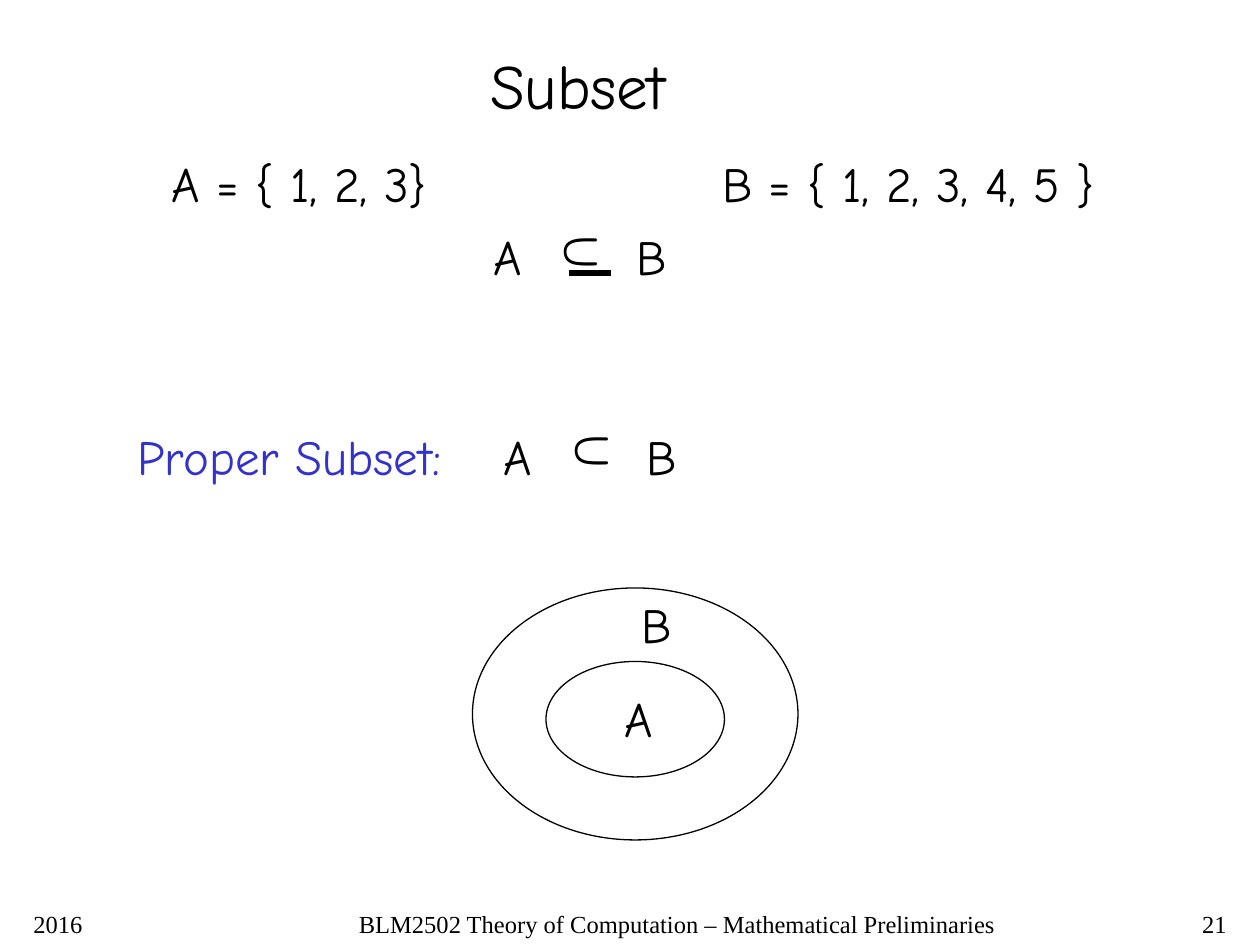
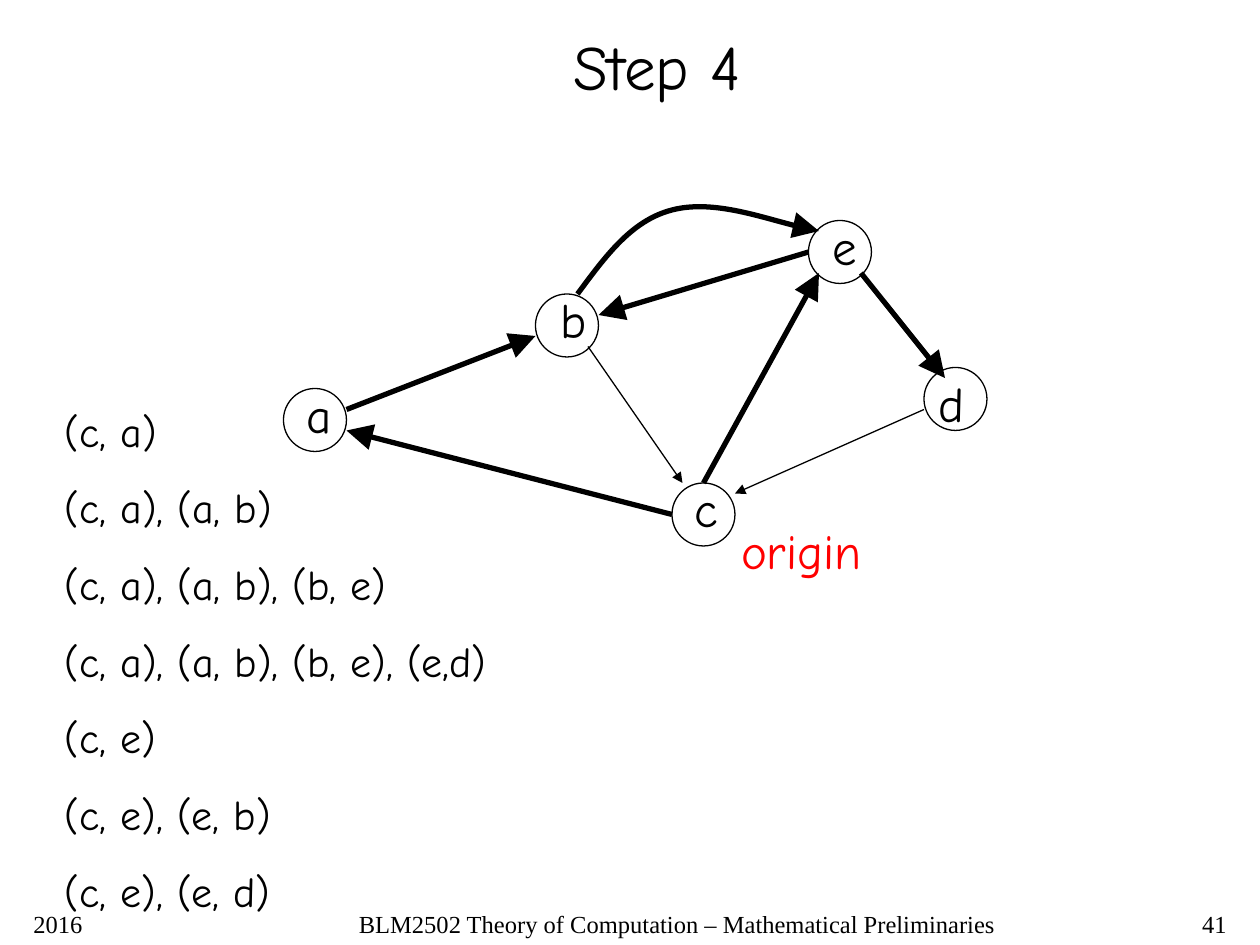
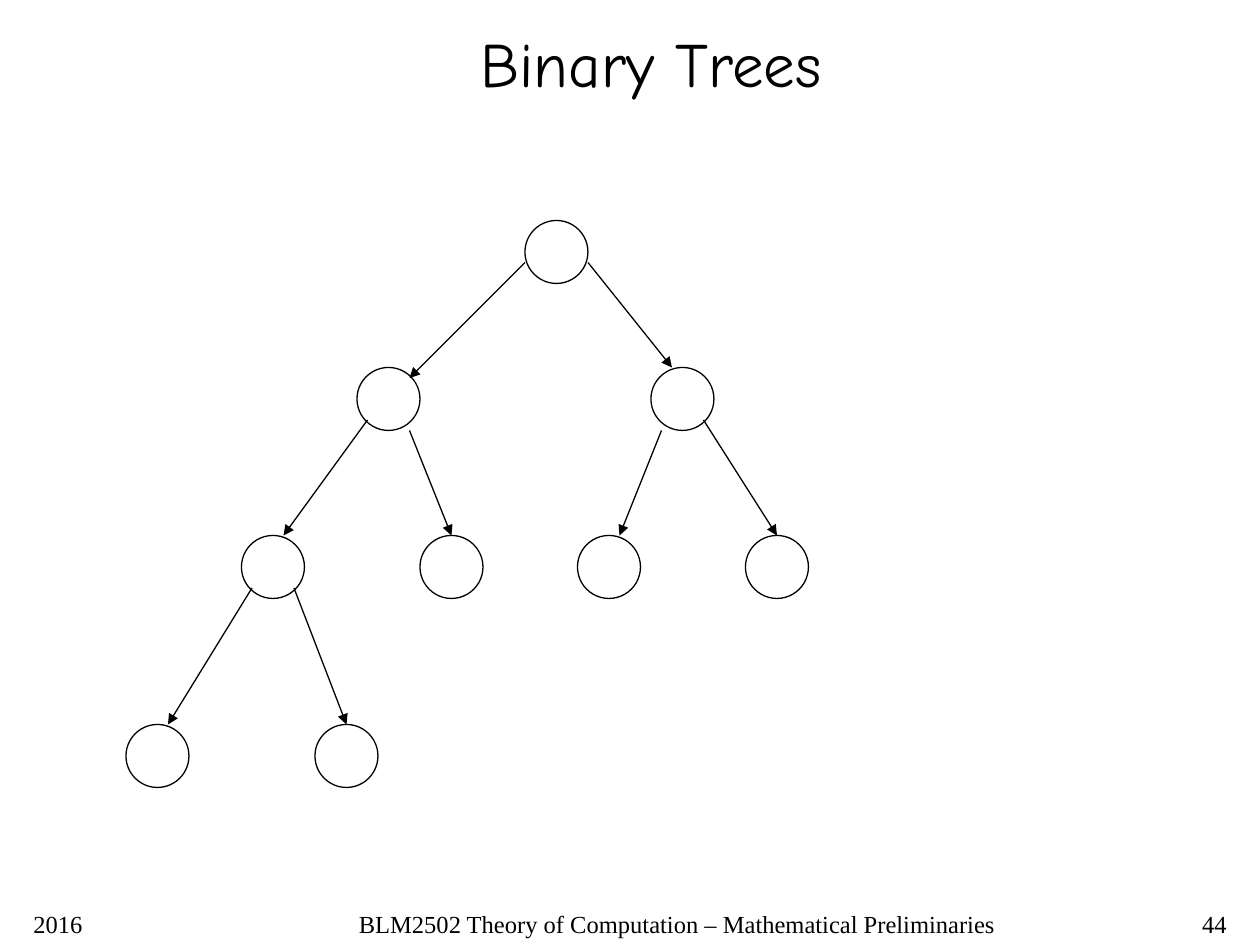
"""Three lecture slides, laid out on a grid of 120 columns by 90 rows."""
from typing import Any, NamedTuple

import pptx
import pptx.dml.color
import pptx.enum.shapes
import pptx.enum.text
import pptx.oxml
import pptx.oxml.ns
import pptx.util

COLUMNS, ROWS = 120, 90
CELL = pptx.util.Inches(10) // COLUMNS
COLORS = {"ink": "000000", "accent": "3333CC", "origin": "FF0000", "paper": "FFFFFF"}
BODY_FONT, FOOTER_FONT = "Comic Neue", "Times New Roman"
TITLE_SIZE, BODY_SIZE, LIST_SIZE, FOOTER_SIZE = 36, 28, 24, 14
BODY_HEIGHT, TITLE_HEIGHT = 6.84, 8.4
THIN, THICK = 0.75, 3
HEAD_SIZES = {THIN: "med", THICK: "lg"}
NODE_SIZE = 6
ALIGN = pptx.enum.text.PP_ALIGN


class Frame(NamedTuple):
    """A rectangle in grid cells."""
    left: float
    top: float
    width: float
    height: float = BODY_HEIGHT


class Point(NamedTuple):
    column: float
    row: float


class Edge(NamedTuple):
    start: Point
    end: Point
    weight: float = THIN


class Node(NamedTuple):
    """A circle, with an optional label in its own box."""
    left: float
    top: float
    label: str = ""
    label_frame: Frame | None = None


class Page(NamedTuple):
    title: str
    title_frame: Frame
    number: int


def cells(count: float) -> pptx.util.Emu:
    return pptx.util.Emu(round(count * CELL))


def color(name: str) -> pptx.dml.color.RGBColor:
    return pptx.dml.color.RGBColor.from_string(COLORS[name])


def add_text(shapes: Any, text: str, frame: Frame, *, size: float = BODY_SIZE,
             font: str = BODY_FONT, ink: str = "ink", align: Any = ALIGN.LEFT,
             space_before: float = 0, tab: float = 0, rotation: float = 0) -> None:
    """Put each line of text in its own paragraph; tab is a stop in cells."""
    box = shapes.add_textbox(*map(cells, frame))
    box.rotation = rotation
    body = box.text_frame
    body.word_wrap = True
    for index, line in enumerate(text.split("\n")):
        para = body.add_paragraph() if index else body.paragraphs[0]
        para.alignment = align
        if index and space_before:
            para.space_before = pptx.util.Pt(space_before)
        if tab:
            stops = pptx.oxml.parse_xml(
                f'<a:tabLst {pptx.oxml.ns.nsdecls("a")}>'
                f'<a:tab pos="{cells(tab)}" algn="l"/></a:tabLst>')
            para._p.get_or_add_pPr().append(stops)
        span = para.add_run()
        span.text = line
        span.font.name = font
        span.font.size = pptx.util.Pt(size)
        span.font.color.rgb = color(ink)


def style_line(line: Any, weight: float, arrow: bool = False) -> None:
    line.color.rgb = color("ink")
    line.width = pptx.util.Pt(weight)
    if arrow:
        head = HEAD_SIZES[weight]
        line._get_or_add_ln().append(pptx.oxml.parse_xml(
            f'<a:tailEnd {pptx.oxml.ns.nsdecls("a")} type="triangle" '
            f'w="{head}" len="{head}"/>'))


def add_line(shapes: Any, edge: Edge, arrow: bool = True) -> None:
    connector = shapes.add_connector(pptx.enum.shapes.MSO_CONNECTOR.STRAIGHT,
                                     *map(cells, edge.start + edge.end))
    style_line(connector.line, edge.weight, arrow)
    connector._element.spPr.append(
        pptx.oxml.parse_xml(f'<a:effectLst {pptx.oxml.ns.nsdecls("a")}/>'))


def add_ellipse(shapes: Any, frame: Frame) -> None:
    ellipse = shapes.add_shape(pptx.enum.shapes.MSO_SHAPE.OVAL, *map(cells, frame))
    ellipse.shadow.inherit = False
    ellipse.fill.background()
    style_line(ellipse.line, THIN)


def add_node(shapes: Any, node: Node) -> None:
    add_ellipse(shapes, Frame(node.left, node.top, NODE_SIZE, NODE_SIZE))
    if node.label_frame:
        add_text(shapes, node.label, node.label_frame)


def add_curved_arrow(shapes: Any, points: list[Point]) -> None:
    """Draw cubic curves: a start, then two controls and an end for each."""
    start, *rest = points
    builder = shapes.build_freeform(cells(start.column), cells(start.row))
    builder.add_line_segments([tuple(map(cells, point)) for point in rest], close=False)
    curve = builder.convert_to_shape()
    steps = list(curve._element.iter(pptx.oxml.ns.qn("a:lnTo")))
    for first in range(0, len(steps), 3):
        bezier = pptx.oxml.parse_xml(f'<a:cubicBezTo {pptx.oxml.ns.nsdecls("a")}/>')
        steps[first].addprevious(bezier)
        for step in steps[first:first + 3]:
            bezier.append(step[0])
            step.getparent().remove(step)
    curve.shadow.inherit = False
    curve.fill.background()
    style_line(curve.line, THICK, arrow=True)


def add_page(deck: Any, page: Page) -> Any:
    """Add a slide with its title and footer, and return its shapes."""
    slide = deck.slides.add_slide(deck.slide_layouts[6])
    slide.background.fill.solid()
    slide.background.fill.fore_color.rgb = color("paper")
    add_text(slide.shapes, page.title, page.title_frame, size=TITLE_SIZE)
    footers = [
        (str(page.number), Frame(93, 86, 25, 4), ALIGN.RIGHT),
        ("2016", Frame(2, 86, 21, 4), ALIGN.LEFT),
        ("BLM2502 Theory of Computation – Mathematical Preliminaries",
         Frame(28, 86, 73, 4), ALIGN.CENTER),
    ]
    for text, frame, align in footers:
        add_text(slide.shapes, text, frame, size=FOOTER_SIZE, font=FOOTER_FONT, align=align)
    return slide.shapes


def add_subset_relation(shapes: Any, left: float, top: float, proper: bool) -> None:
    """Write A and B with a turned U between them, underlined unless proper."""
    group = shapes.add_group_shape().shapes
    add_text(group, "A\tB", Frame(left, top, 20), tab=13.6)
    add_text(group, "U", Frame(left + 7, top - 0.4, 5.6), rotation=90)
    if not proper:
        bar_row = top + 5
        add_line(group, Edge(Point(left + 8.4, bar_row), Point(left + 12.4, bar_row), THICK),
                 arrow=False)


def build_subset(deck: Any) -> None:
    shapes = add_page(deck, Page("Subset", Frame(45.5, 3.8, 20.5, TITLE_HEIGHT), 21))
    add_text(shapes, "A = { 1, 2, 3}\tB = { 1, 2, 3, 4, 5 }", Frame(15.2, 14, 92), tab=52.4)
    add_subset_relation(shapes, 45.8, 21, proper=False)
    add_text(shapes, "Proper Subset:", Frame(11.9, 40, 32.5), ink="accent")
    add_subset_relation(shapes, 46.8, 40, proper=True)
    for frame in (Frame(52, 63, 17, 11), Frame(45, 56, 31, 24)):
        add_ellipse(shapes, frame)
    add_text(shapes, "A", Frame(58.3, 65, 5))
    add_text(shapes, "B", Frame(59.9, 56, 5.3))


def build_step(deck: Any) -> None:
    shapes = add_page(deck, Page("Step 4", Frame(53.4, 2, 20, TITLE_HEIGHT), 41))
    nodes = [
        Node(27, 37, "a", Frame(28, 36, 4.8)),
        Node(51, 28, "b", Frame(52.2, 27, 4.9)),
        Node(64, 46, "c", Frame(65, 45, 4.6)),
        Node(88, 35, "d", Frame(88.2, 35, 4.8)),
        Node(77, 21, "e", Frame(78.1, 20, 4.7)),
    ]
    edges = [
        Edge(Point(33, 39), Point(51, 32), THICK),
        Edge(Point(56, 33), Point(65, 46)),
        Edge(Point(67, 46), Point(78, 26), THICK),
        Edge(Point(88, 39), Point(70, 47)),
        Edge(Point(64, 49), Point(33, 41), THICK),
        Edge(Point(82, 26), Point(90, 36), THICK),
        Edge(Point(77, 24), Point(57, 30), THICK),
    ]
    for node in nodes:
        add_node(shapes, node)
    for edge in edges:
        add_line(shapes, edge)
    add_curved_arrow(shapes, [
        Point(55, 28), Point(57.6, 24.5), Point(60.1, 21), Point(64, 20),
        Point(67.8, 19), Point(75.1, 21.5), Point(78, 22)])
    add_text(shapes, "origin", Frame(69.4, 49, 15), ink="origin")
    walks = ["(c, a)", "(c, a), (a, b)", "(c, a), (a, b), (b, e)",
             "(c, a), (a, b), (b, e), (e,d)", "(c, e)", "(c, e), (e, b)", "(c, e), (e, d)"]
    add_text(shapes, "\n".join(walks), Frame(5, 38, 44, 49.8), size=LIST_SIZE,
             space_before=15)


def build_trees(deck: Any) -> None:
    shapes = add_page(deck, Page("Binary Trees", Frame(44.6, 1.7, 36, TITLE_HEIGHT), 44))
    levels = {21: [50], 35: [34, 62], 51: [23, 40, 55, 71], 69: [12, 30]}
    edges = [
        Edge(Point(50, 25), Point(39, 36)),
        Edge(Point(56, 25), Point(64, 35)),
        Edge(Point(35, 40), Point(27, 51)),
        Edge(Point(39, 41), Point(43, 51)),
        Edge(Point(63, 41), Point(59, 51)),
        Edge(Point(67, 40), Point(74, 51)),
        Edge(Point(24, 56), Point(16, 69)),
        Edge(Point(28, 56), Point(33, 69)),
    ]
    for top, lefts in levels.items():
        for left in lefts:
            add_node(shapes, Node(left, top))
    for edge in edges:
        add_line(shapes, edge)


def main() -> None:
    deck = pptx.Presentation()
    deck.slide_width = cells(COLUMNS)
    deck.slide_height = cells(ROWS)
    build_subset(deck)
    build_step(deck)
    build_trees(deck)
    deck.save("out.pptx")


if __name__ == "__main__":
    main()
